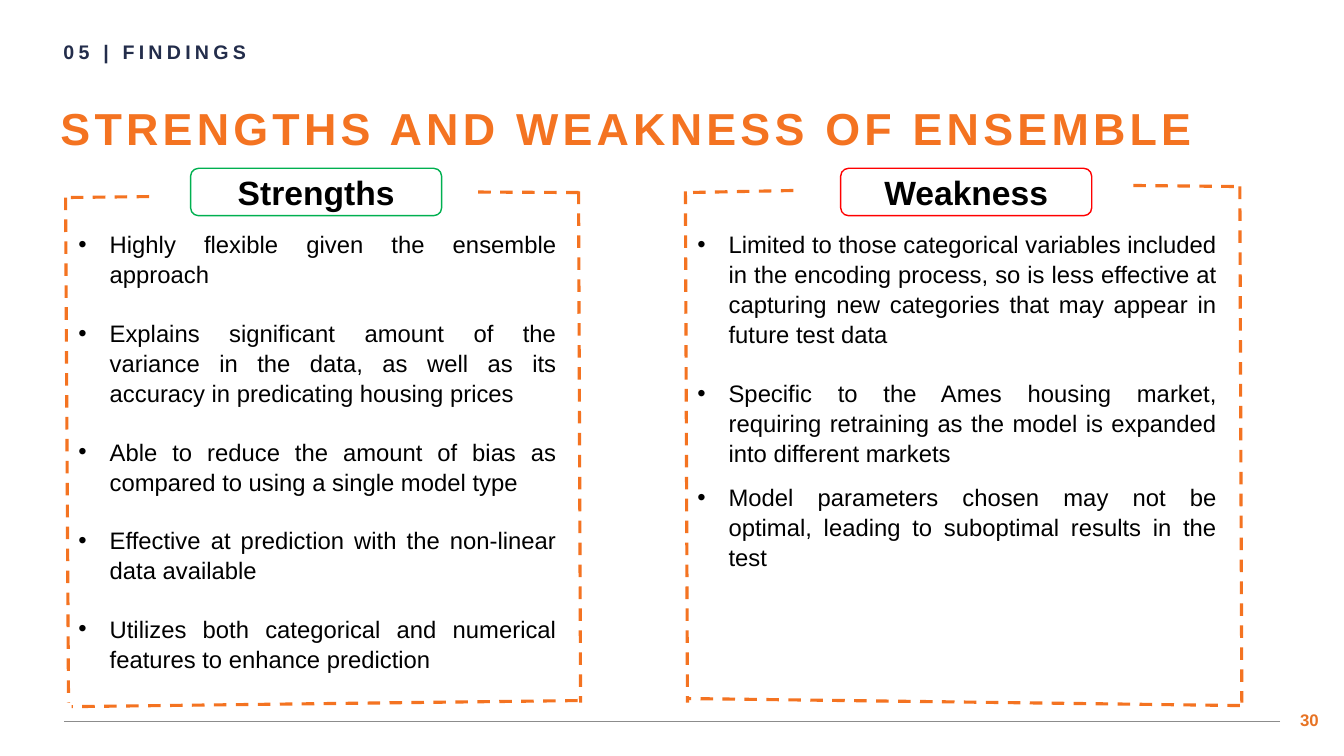
from pptx import Presentation
from pptx.dml.color import RGBColor
from pptx.enum.dml import MSO_LINE_DASH_STYLE as Dash
from pptx.enum.shapes import MSO_CONNECTOR as Conn, MSO_SHAPE as Shape
from pptx.enum.text import MSO_ANCHOR as Anchor, PP_ALIGN as Align
from pptx.oxml.ns import qn
from pptx.util import Inches, Pt
from lxml.etree import SubElement

WIDTH, HEIGHT = Inches(13.33), Inches(7.5)
FONT = "Arial"
COLORS = {
    "orange": "F47321", "number": "E77324", "navy": "232D4B", "black": "000000",
    "white": "FFFFFF", "green": "00B050", "red": "FF0000", "rule": "8C8C8C",
}
BADGE_TOP, BADGE_WIDTH, BADGE_HEIGHT = 22.27, 18.68, 6.27
LIST_TOP = 29.6
BLANK_LINE = 20.4

PANELS = [
    {
        "heading": "Strengths", "color": "green", "badge_left": 14.18,
        "list_box": (5.1, LIST_TOP, 37.05, 58.53),
        "edges": [
            (4.88, 26.13, 5.1, 92.93),
            (43.05, 25.33, 43.2, 92.93),
            (42.98, 92.67, 5.33, 93.47),
            (43.05, 25.47, 34.95, 25.4),
            (11.1, 26, 4.95, 26.13),
        ],
        "points": [
            ("Highly flexible given the ensemble approach", BLANK_LINE),
            ("Explains significant amount of the variance in the data, "
             "as well as its accuracy in predicating housing prices", BLANK_LINE),
            ("Able to reduce the amount of bias as compared to using "
             "a single model type", BLANK_LINE),
            ("Effective at prediction with the non-linear data available", BLANK_LINE),
            ("Utilizes both categorical and numerical features to enhance "
             "prediction", 0),
        ],
    },
    {
        "heading": "Weakness", "color": "red", "badge_left": 62.55,
        "list_box": (51.15, LIST_TOP, 40.13, 45.2),
        "edges": [
            (51, 25.33, 51.15, 92.93),
            (92.25, 24.67, 92.4, 92.93),
            (92.25, 93.33, 51.15, 92.4),
            (91.8, 24.67, 83.78, 24.53),
            (59.03, 25.2, 51.15, 25.47),
        ],
        "points": [
            ("Limited to those categorical variables included in the encoding "
             "process, so is less effective at capturing new categories that may "
             "appear in future test data", BLANK_LINE),
            ("Specific to the Ames housing market, requiring retraining as the "
             "model is expanded into different markets", 10),
            ("Model parameters chosen may not be optimal, leading to suboptimal "
             "results in the test", 10),
        ],
    },
]


def rgb(name):
    return RGBColor.from_string(COLORS[name])


def grid(*values):
    """Turn alternating columns and rows of a 100 by 100 grid into lengths."""
    return [int((HEIGHT if i % 2 else WIDTH) * v / 100) for i, v in enumerate(values)]


def add_run(p, text, size, color, bold=False, spacing=0):
    r = p.add_run()
    r.text = text
    r.font.name, r.font.size, r.font.bold = FONT, Pt(size), bold
    r.font.color.rgb = rgb(color)
    if spacing:
        r._r.get_or_add_rPr().set("spc", str(spacing * 100))


def add_line(s, ends, color, width, dash=None):
    line = s.shapes.add_connector(Conn.STRAIGHT, *grid(*ends))
    line.line.color.rgb = rgb(color)
    line.line.width = Pt(width)
    if dash:
        line.line.dash_style = dash
    SubElement(line._element.spPr, qn("a:effectLst"))


def add_text_frame(s, box):
    tf = s.shapes.add_textbox(*grid(*box)).text_frame
    tf.word_wrap = True
    return tf


def add_label(s, box, text, size, color, spacing=0, align=Align.LEFT):
    tf = add_text_frame(s, box)
    tf.paragraphs[0].alignment = align
    add_run(tf.paragraphs[0], text, size, color, True, spacing)
    return tf


def add_badge(s, left, text, color):
    sp = s.shapes.add_shape(
        Shape.ROUNDED_RECTANGLE, *grid(left, BADGE_TOP, BADGE_WIDTH, BADGE_HEIGHT))
    sp.shadow.inherit = False
    sp.fill.solid()
    sp.fill.fore_color.rgb = rgb("white")
    sp.line.color.rgb = rgb(color)
    sp.line.width = Pt(1)
    tf = sp.text_frame
    tf.vertical_anchor = Anchor.MIDDLE
    tf.paragraphs[0].alignment = Align.CENTER
    add_run(tf.paragraphs[0], text, 24, "black", True)


def add_bullets(s, box, points):
    tf = add_text_frame(s, box)
    for i, (text, gap) in enumerate(points):
        p = tf.add_paragraph() if i else tf.paragraphs[0]
        p.alignment = Align.JUSTIFY
        p.line_spacing = 1.05
        p.space_after = Pt(gap)
        pPr = p._p.get_or_add_pPr()
        pPr.set("marL", str(Inches(0.31)))
        pPr.set("indent", str(-Inches(0.31)))
        SubElement(pPr, qn("a:buFont")).set("typeface", FONT)
        SubElement(pPr, qn("a:buChar")).set("char", "•")
        add_run(p, text, 17, "black")


def add_panel(s, panel):
    for edge in panel["edges"]:
        add_line(s, edge, "orange", 2.25, Dash.DASH)
    add_badge(s, panel["badge_left"], panel["heading"], panel["color"])
    add_bullets(s, panel["list_box"], panel["points"])


def main():
    prs = Presentation()
    prs.slide_width, prs.slide_height = WIDTH, HEIGHT
    s = prs.slides.add_slide(prs.slide_layouts[6])

    add_line(s, (95.25, 95.47, 4.73, 95.47), "rule", 0.75)
    add_label(s, (95.25, 93.2, 4.35, 4), "30", 12, "number", align=Align.CENTER)
    add_label(s, (3.98, 4.67, 92.33, 4.67), "05 | FINDINGS", 14, "navy", spacing=3)
    title = add_label(s, (4.5, 12.4, 92.18, 9.07),
                      "STRENGTHS AND WEAKNESS OF ENSEMBLE", 32, "orange", spacing=3)
    title.margin_left = title.margin_right = 0
    title.vertical_anchor = Anchor.MIDDLE
    for panel in PANELS:
        add_panel(s, panel)

    prs.save("out.pptx")


if __name__ == "__main__":
    main()
